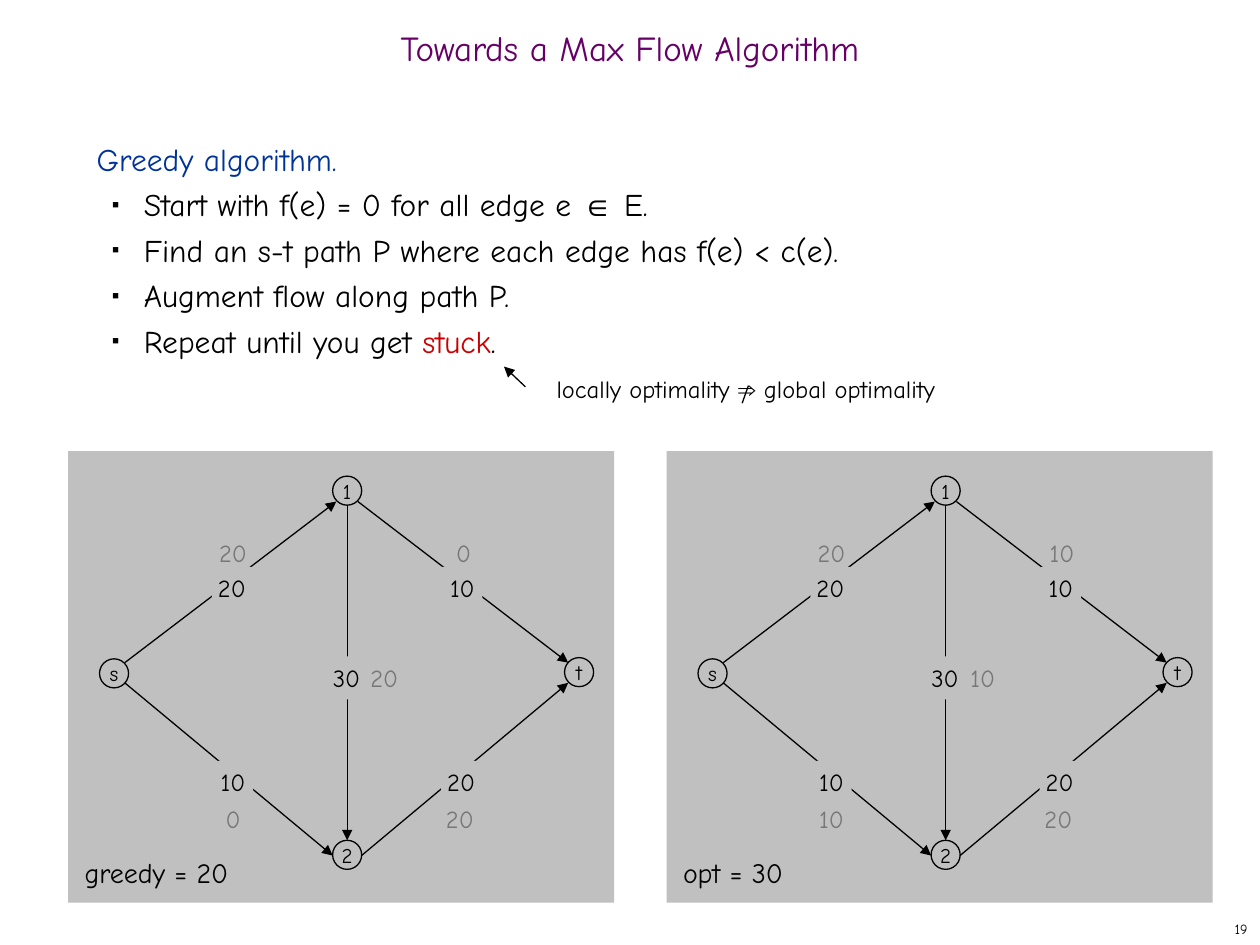
from dataclasses import dataclass
from typing import Any, NamedTuple

from lxml.etree import SubElement
from pptx import Presentation
from pptx.dml.color import RGBColor
from pptx.enum.shapes import MSO_CONNECTOR as Connector, MSO_SHAPE as Preset
from pptx.enum.text import MSO_ANCHOR as Anchor, MSO_AUTO_SIZE as AutoSize, PP_ALIGN as Align
from pptx.oxml.ns import qn
from pptx.util import Pt

FACE, SYMBOL_FACE = "Comic Neue", "Arial"
BLACK, GRAY, PANEL_GRAY = "000000", "777777", "C0C0C0"
PURPLE, BLUE, RED = "660066", "003399", "CC0000"
PANEL_TOP, PANEL_WIDTH, PANEL_HEIGHT = 257.8, 312, 258
NODE_SIZE, LABEL_HEIGHT = 16.6, 24.5


class Span(NamedTuple):
    text: str
    color: str = BLACK
    face: str = FACE


class Node(NamedTuple):
    name: str
    x: float
    y: float


class Edge(NamedTuple):
    start: tuple[float, float]
    end: tuple[float, float]
    capacity: str
    capacity_at: tuple[float, float]
    flow_at: tuple[float, float]


@dataclass
class Network:
    left: float
    caption: str
    flows: tuple[str, ...]


NODES = (Node("s", 26.3, 127), Node("1", 159.5, 22.6),
         Node("2", 159.5, 230.7), Node("t", 292, 126.3))
EDGES = (
    Edge((32.4, 120.9), (153.3, 28.8), "20", (93.6, 78.4), (94.3, 58.3)),
    Edge((165.6, 28.8), (285.8, 120.9), "10", (225.3, 78.4), (226, 58.3)),
    Edge((32.4, 132.4), (151.2, 231.1), "10", (94.3, 189.3), (94.3, 210.2)),
    Edge((167.7, 231.1), (285.8, 132.4), "20", (224.6, 189.3), (223.9, 210.2)),
    Edge((159.5, 30.9), (159.5, 222.4), "30", (159.1, 129.6), (180.7, 129.6)),
)
NETWORKS = (
    Network(38.9, "greedy = 20", ("20", "0", "0", "20", "20")),
    Network(380.9, "opt = 30", ("20", "10", "10", "20", "10")),
)
STEPS = (
    (Span("Start with f(e) = 0 for all edge e "), Span("∈", face=SYMBOL_FACE), Span(" E.")),
    (Span("Find an s-t path P where each edge has f(e) < c(e)."),),
    (Span("Augment flow along path P."),),
    (Span("Repeat until you get "), Span("stuck", RED), Span(".")),
)


def rgb(color: str) -> RGBColor:
    return RGBColor.from_string(color)


def apply(target: Any, values: dict[str, Any]) -> None:
    for name, value in values.items():
        setattr(target, name, value)


def set_frame(shape: Any, margins: tuple[float, float] = (7.2, 3.6), **values: Any) -> None:
    side, edge = (Pt(margin) for margin in margins)
    apply(shape.text_frame, {
        "auto_size": AutoSize.NONE, "word_wrap": False, "vertical_anchor": Anchor.TOP,
        "margin_left": side, "margin_right": side,
        "margin_top": edge, "margin_bottom": edge, **values})


def write(para: Any, spans: tuple[Span, ...], size: float, **values: Any) -> None:
    apply(para, {"alignment": Align.LEFT, "space_before": Pt(0), **values})
    for span in spans:
        run = para.add_run()
        run.text = span.text
        apply(run.font, {"size": Pt(size), "name": span.face, "bold": False})
        run.font.color.rgb = rgb(span.color)


def place(shape: Any, left: float, top: float, width: float, height: float) -> None:
    apply(shape, {"left": Pt(left), "top": Pt(top), "width": Pt(width), "height": Pt(height)})


def add_text(page: Any, bounds: tuple[float, ...], spans: tuple[Span, ...], size: float,
             margins: tuple[float, float] = (7.2, 3.6), anchor: Any = Anchor.TOP,
             align: Any = Align.LEFT) -> None:
    box = page.shapes.add_textbox(*map(Pt, bounds))
    set_frame(box, margins, vertical_anchor=anchor)
    write(box.text_frame.paragraphs[0], spans, size, alignment=align)


def add_block(page: Any, preset: Any, bounds: tuple[float, ...], outlined: bool = False) -> Any:
    block = page.shapes.add_shape(preset, *map(Pt, bounds))
    block.shadow.inherit = False
    block.fill.solid()
    block.fill.fore_color.rgb = rgb(PANEL_GRAY)
    if outlined:
        block.line.color.rgb = rgb(BLACK)
        block.line.width = Pt(0.75)
    else:
        block.line.fill.background()
    return block


def add_line(page: Any, start: tuple[float, float], end: tuple[float, float],
             arrow: bool = True) -> None:
    line = page.shapes.add_connector(Connector.STRAIGHT, *map(Pt, (*start, *end)))
    line.line.color.rgb = rgb(BLACK)
    line.line.width = Pt(0.75)
    if arrow:
        SubElement(line.line._get_or_add_ln(), qn("a:tailEnd"), type="triangle")
    SubElement(line._element.spPr, qn("a:effectLst"))


def add_bullet(para: Any) -> None:
    properties = para._p.get_or_add_pPr()
    color = SubElement(properties, qn("a:buClr"))
    SubElement(color, qn("a:srgbClr"), val=BLACK)
    SubElement(properties, qn("a:buSzPct"), val="35000")
    SubElement(properties, qn("a:buFont"), typeface=SYMBOL_FACE)
    SubElement(properties, qn("a:buChar"), char="■")


def set_indent(para: Any, margin: float, indent: float) -> None:
    properties = para._p.get_or_add_pPr()
    properties.set("marL", str(Pt(margin)))
    properties.set("indent", str(Pt(indent)))


def add_label(page: Any, text: str, center: tuple[float, float], color: str) -> None:
    width = 23 if len(text) == 2 else 15.8
    bounds = (center[0] - width / 2, center[1] - LABEL_HEIGHT / 2, width, LABEL_HEIGHT)
    label = add_block(page, Preset.RECTANGLE, bounds)
    if color == GRAY:
        label.fill.background()
    set_frame(label, (3.6, 3.6))
    write(label.text_frame.paragraphs[0], (Span(text, color),), 14, alignment=Align.CENTER)


def draw_network(page: Any, network: Network) -> None:
    def at(point: tuple[float, float]) -> tuple[float, float]:
        return network.left + point[0], PANEL_TOP + point[1]

    add_block(page, Preset.RECTANGLE, (network.left, PANEL_TOP, PANEL_WIDTH, PANEL_HEIGHT))
    add_text(page, (network.left - 1.4, 481.7, 132, 34), (Span(network.caption),), 16, (10.8, 7.2))
    for node in NODES:
        x, y = at((node.x, node.y))
        bounds = (x - NODE_SIZE / 2, y - NODE_SIZE / 2, NODE_SIZE, NODE_SIZE)
        circle = add_block(page, Preset.OVAL, bounds, outlined=True)
        set_frame(circle, vertical_anchor=Anchor.MIDDLE)
        write(circle.text_frame.paragraphs[0], (Span(node.name),), 12, alignment=Align.CENTER)
    for edge in EDGES:
        add_line(page, at(edge.start), at(edge.end))
    for edge in EDGES:
        add_label(page, edge.capacity, at(edge.capacity_at), BLACK)
    for edge, flow in zip(EDGES, network.flows):
        block_color = GRAY
        add_label(page, flow, at(edge.flow_at), block_color)


def main() -> None:
    deck = Presentation()
    apply(deck, {"slide_width": Pt(720), "slide_height": Pt(540)})
    page = deck.slides.add_slide(deck.slide_layouts[1])

    title, body = page.placeholders
    place(title, 0, 12.2, 720, 36)
    set_frame(title, word_wrap=True, vertical_anchor=Anchor.MIDDLE)
    write(title.text_frame.paragraphs[0], (Span("Towards a Max Flow Algorithm", PURPLE),), 20,
          alignment=Align.CENTER, line_spacing=0.7)

    place(body, 48, 72, 618, 426)
    set_frame(body, word_wrap=True)
    heading = body.text_frame.paragraphs[0]
    write(heading, (Span("Greedy algorithm.", BLUE),), 18, line_spacing=Pt(26))
    set_indent(heading, 0, 0)
    SubElement(heading._p.get_or_add_pPr(), qn("a:buNone"))
    for step in STEPS:
        para = body.text_frame.add_paragraph()
        write(para, step, 18, level=1, line_spacing=Pt(26))
        set_indent(para, 27, -18)
        add_bullet(para)

    for network in NETWORKS:
        draw_network(page, network)

    remark = (Span("locally optimality "), Span("⇒", face=SYMBOL_FACE), Span(" global optimality"))
    add_text(page, (311, 210.2, 232, 24), remark, 14)
    add_line(page, (300.2, 221), (288, 209.5))
    add_line(page, (427.7, 220.3), (424.1, 230.4), arrow=False)
    add_text(page, (570, 522, 150, 18), (Span("19"),), 8, anchor=Anchor.MIDDLE, align=Align.RIGHT)
    deck.save("out.pptx")


if __name__ == "__main__":
    main()
